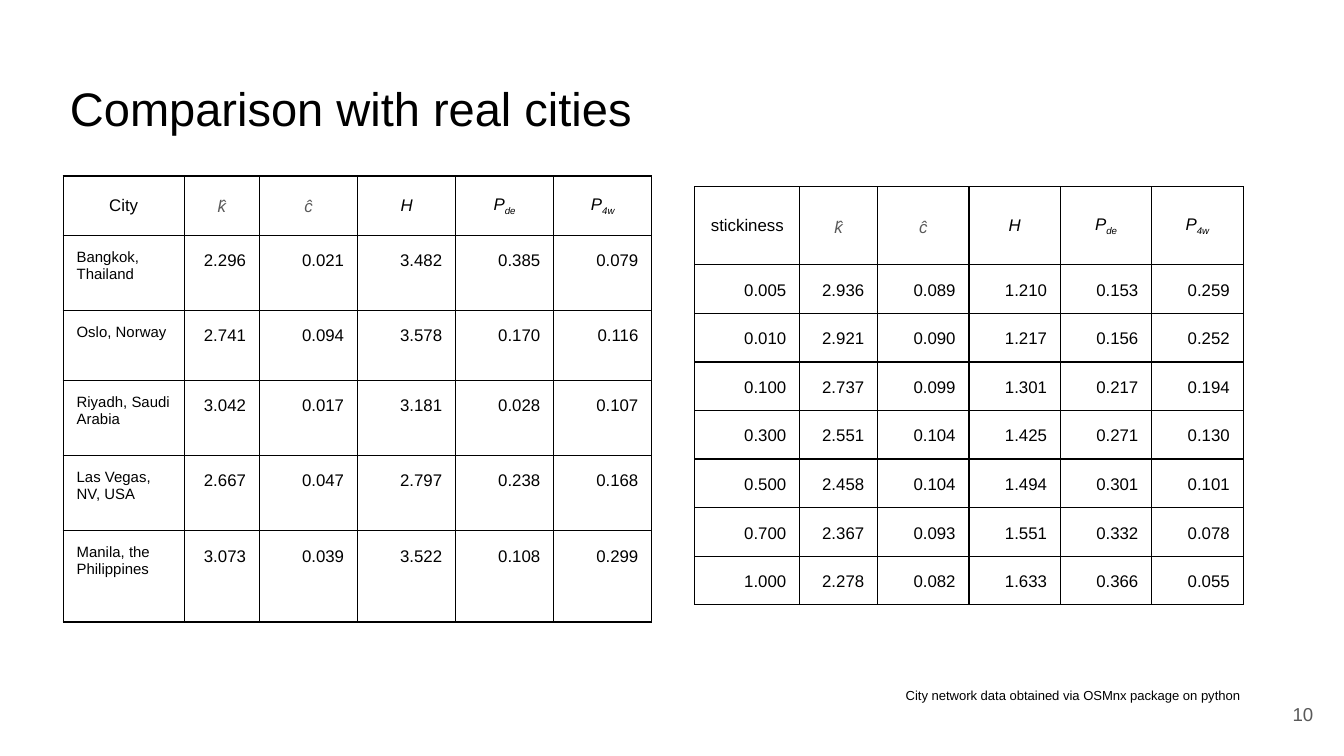
import lxml.etree
import pptx
import pptx.dml.color
import pptx.enum.text
import pptx.oxml.ns
import pptx.util
from pptx.util import Inches

ALIGN = pptx.enum.text.PP_ALIGN
ANCHOR = pptx.enum.text.MSO_ANCHOR
AUTO_SIZE = pptx.enum.text.MSO_AUTO_SIZE

THEME = {
    "font": "Arial", "ink": "000000", "muted": "595959",
    "title": 25.2, "number": 10, "body": 9, "city": 8, "note": 7,
    "border": 0.75, "inset": 0.1, "line_spacing": 1.15, "subscript": -25,
}

TITLE = "Comparison with real cities"
NOTE = "City network data obtained via OSMnx package on python"
PAGE_NUMBER = "10"

# Each metric heading: symbol, subscript, colour
METRICS = [
    ("k̂", "", "muted"),
    ("ĉ", "", "muted"),
    ("H", "", "ink"),
    ("P", "de", "ink"),
    ("P", "4w", "ink"),
]

CITIES = {
    "heading": "City",
    "left": 0.47, "top": 1.31,
    "columns": [0.9, 0.56] + [0.73] * 4,
    "rows": [0.44, 0.56, 0.52, 0.56, 0.56, 0.68],
    "label_size": "city", "label_align": ALIGN.LEFT, "label_spacing": None,
    "data": [
        ("Bangkok, Thailand", "2.296", "0.021", "3.482", "0.385", "0.079"),
        ("Oslo, Norway", "2.741", "0.094", "3.578", "0.170", "0.116"),
        ("Riyadh, Saudi Arabia", "3.042", "0.017", "3.181", "0.028", "0.107"),
        ("Las Vegas, NV, USA", "2.667", "0.047", "2.797", "0.238", "0.168"),
        ("Manila, the Philippines", "3.073", "0.039", "3.522", "0.108", "0.299"),
    ],
}

STICKINESS = {
    "heading": "stickiness",
    "left": 5.17, "top": 1.39,
    "columns": [0.78, 0.58] + [0.68] * 4,
    "rows": [0.58] + [0.31] * 7,
    "label_size": "body", "label_align": ALIGN.RIGHT,
    "label_spacing": THEME["line_spacing"],
    "data": [
        ("0.005", "2.936", "0.089", "1.210", "0.153", "0.259"),
        ("0.010", "2.921", "0.090", "1.217", "0.156", "0.252"),
        ("0.100", "2.737", "0.099", "1.301", "0.217", "0.194"),
        ("0.300", "2.551", "0.104", "1.425", "0.271", "0.130"),
        ("0.500", "2.458", "0.104", "1.494", "0.301", "0.101"),
        ("0.700", "2.367", "0.093", "1.551", "0.332", "0.078"),
        ("1.000", "2.278", "0.082", "1.633", "0.366", "0.055"),
    ],
}


def add_run(paragraph, text, size, color="ink", italic=False, subscript=False):
    run = paragraph.add_run()
    run.text = text
    run.font.name = THEME["font"]
    run.font.size = pptx.util.Pt(THEME[size])
    run.font.color.rgb = pptx.dml.color.RGBColor.from_string(THEME[color])
    run.font.italic = italic
    if subscript:
        run._r.get_or_add_rPr().set("baseline", str(THEME["subscript"] * 1000))


def set_insets(container):
    """Give a cell or a text frame the same margin on every side."""
    for side in ("left", "top", "right", "bottom"):
        setattr(container, f"margin_{side}", Inches(THEME["inset"]))


def format_cell(cell, anchor):
    """Outline the cell, clear its fill and place its text."""
    properties = cell._tc.get_or_add_tcPr()
    for side in ("L", "R", "T", "B"):
        line = lxml.etree.SubElement(
            properties, pptx.oxml.ns.qn(f"a:ln{side}"),
            w=str(pptx.util.Pt(THEME["border"])))
        fill = lxml.etree.SubElement(line, pptx.oxml.ns.qn("a:solidFill"))
        lxml.etree.SubElement(
            fill, pptx.oxml.ns.qn("a:srgbClr"), val=THEME["ink"])
    cell.fill.background()
    cell.vertical_anchor = anchor
    set_insets(cell)


def fill_header(table, heading):
    for column, cell in enumerate(table.rows[0].cells):
        format_cell(cell, ANCHOR.MIDDLE)
        paragraph = cell.text_frame.paragraphs[0]
        paragraph.alignment = ALIGN.CENTER
        if column == 0:
            add_run(paragraph, heading, "body")
            continue
        symbol, subscript, color = METRICS[column - 1]
        if color == "muted":
            paragraph.line_spacing = THEME["line_spacing"]
            paragraph.space_after = pptx.util.Pt(12)
        add_run(paragraph, symbol, "body", color, italic=True)
        if subscript:
            add_run(paragraph, subscript, "body", color, italic=True, subscript=True)


def add_metric_table(slide, content):
    columns, rows = content["columns"], content["rows"]
    table = slide.shapes.add_table(
        len(rows), len(columns), Inches(content["left"]), Inches(content["top"]),
        Inches(sum(columns)), Inches(sum(rows))).table
    table.first_row = False
    table.horz_banding = False
    for column, width in zip(table.columns, columns):
        column.width = Inches(width)
    for row, height in zip(table.rows, rows):
        row.height = Inches(height)

    fill_header(table, content["heading"])
    for row, values in enumerate(content["data"], start=1):
        for column, value in enumerate(values):
            cell = table.cell(row, column)
            format_cell(cell, ANCHOR.TOP)
            paragraph = cell.text_frame.paragraphs[0]
            is_label = column == 0
            paragraph.alignment = content["label_align"] if is_label else ALIGN.RIGHT
            paragraph.line_spacing = (
                content["label_spacing"] if is_label else THEME["line_spacing"])
            add_run(paragraph, value, content["label_size"] if is_label else "body")


def write_text(shape, text, size, color="ink", align=ALIGN.LEFT,
               anchor=ANCHOR.TOP, auto_size=AUTO_SIZE.NONE):
    frame = shape.text_frame
    frame.word_wrap = True
    frame.auto_size = auto_size
    frame.vertical_anchor = anchor
    set_insets(frame)
    paragraph = frame.paragraphs[0]
    paragraph.alignment = align
    add_run(paragraph, text, size, color)


def main():
    presentation = pptx.Presentation()
    presentation.slide_width = Inches(10)
    presentation.slide_height = presentation.slide_width * 9 // 16
    slide = presentation.slides.add_slide(presentation.slide_layouts[5])

    title = slide.shapes.title
    title.left, title.top = Inches(0.42), Inches(0.49)
    title.width, title.height = Inches(9.32), Inches(0.63)
    write_text(title, TITLE, "title")

    for content in (CITIES, STICKINESS):
        add_metric_table(slide, content)

    note = slide.shapes.add_textbox(
        Inches(6.64), Inches(5.06), Inches(3.02), Inches(0.32))
    write_text(note, NOTE, "note", auto_size=AUTO_SIZE.SHAPE_TO_FIT_TEXT)

    page_number = slide.shapes.add_textbox(
        Inches(9.27), Inches(5.1), Inches(0.6), Inches(0.43))
    write_text(page_number, PAGE_NUMBER, "number", "muted", ALIGN.RIGHT, ANCHOR.MIDDLE)

    presentation.save("out.pptx")


if __name__ == "__main__":
    main()
